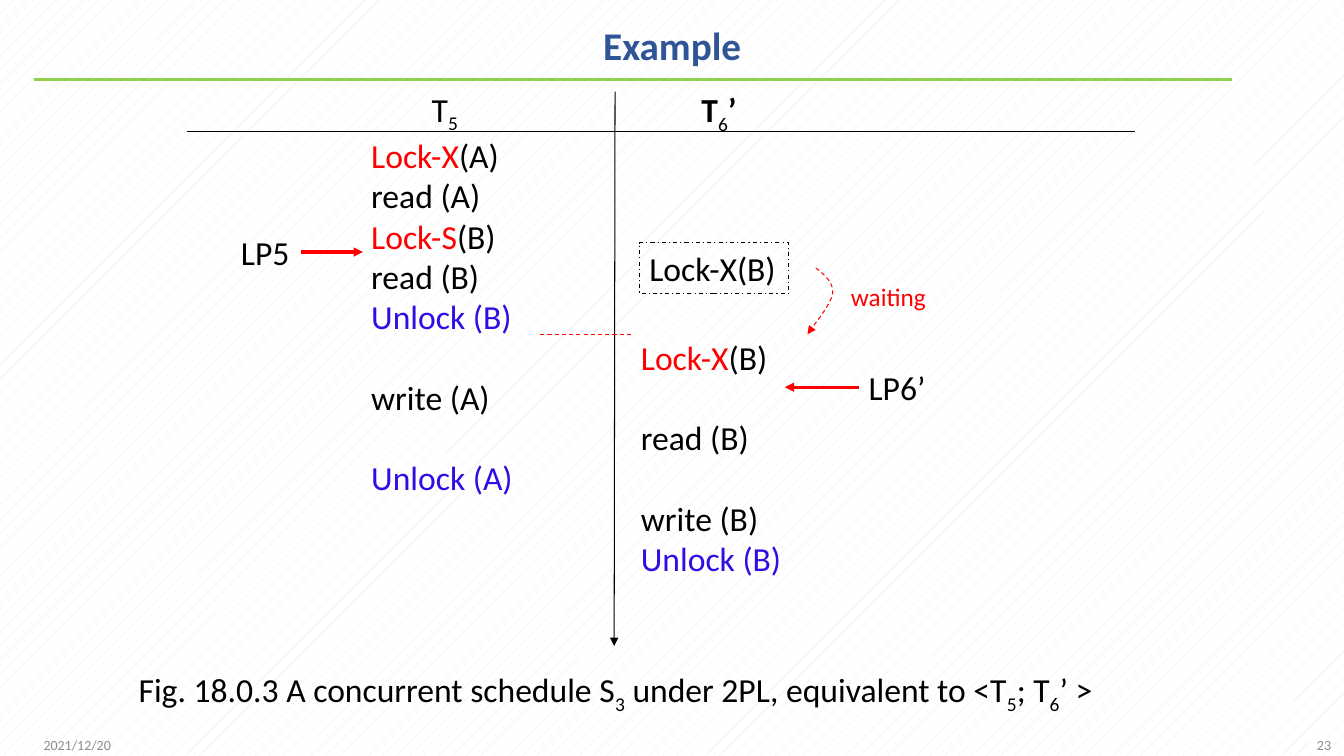
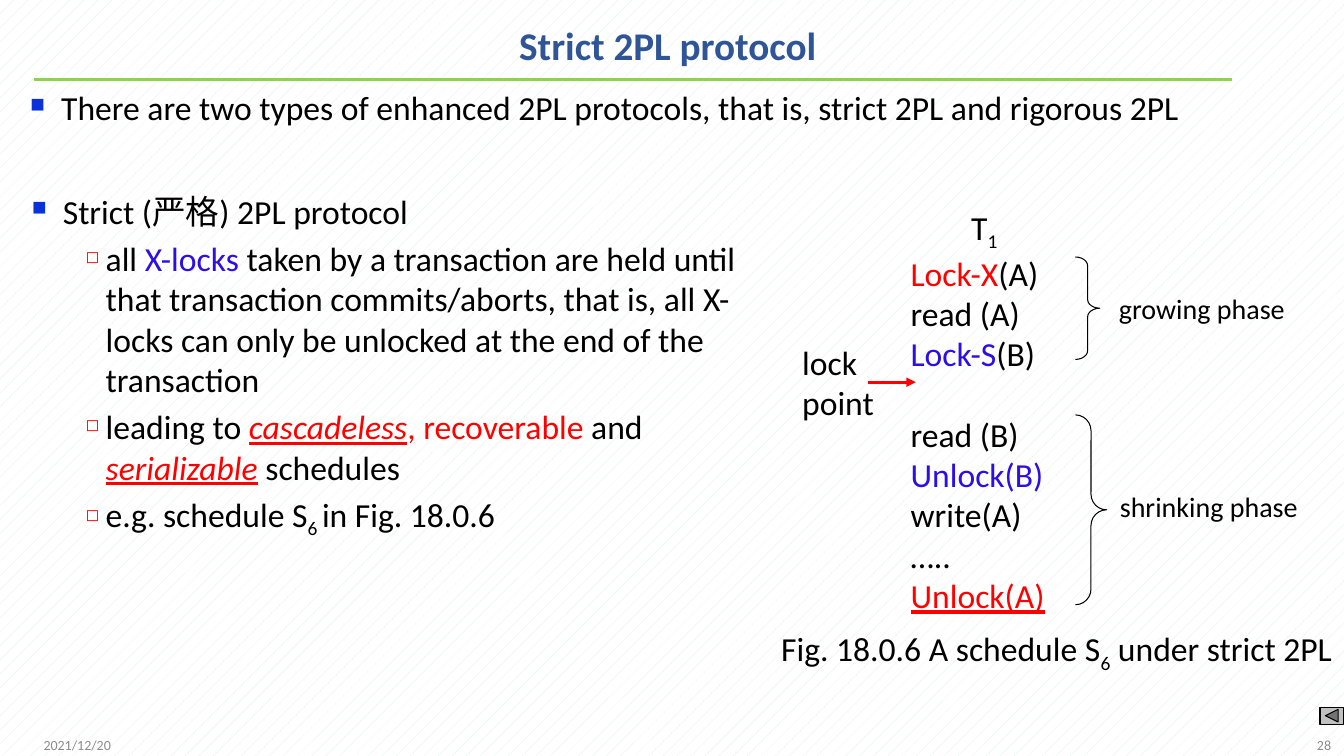
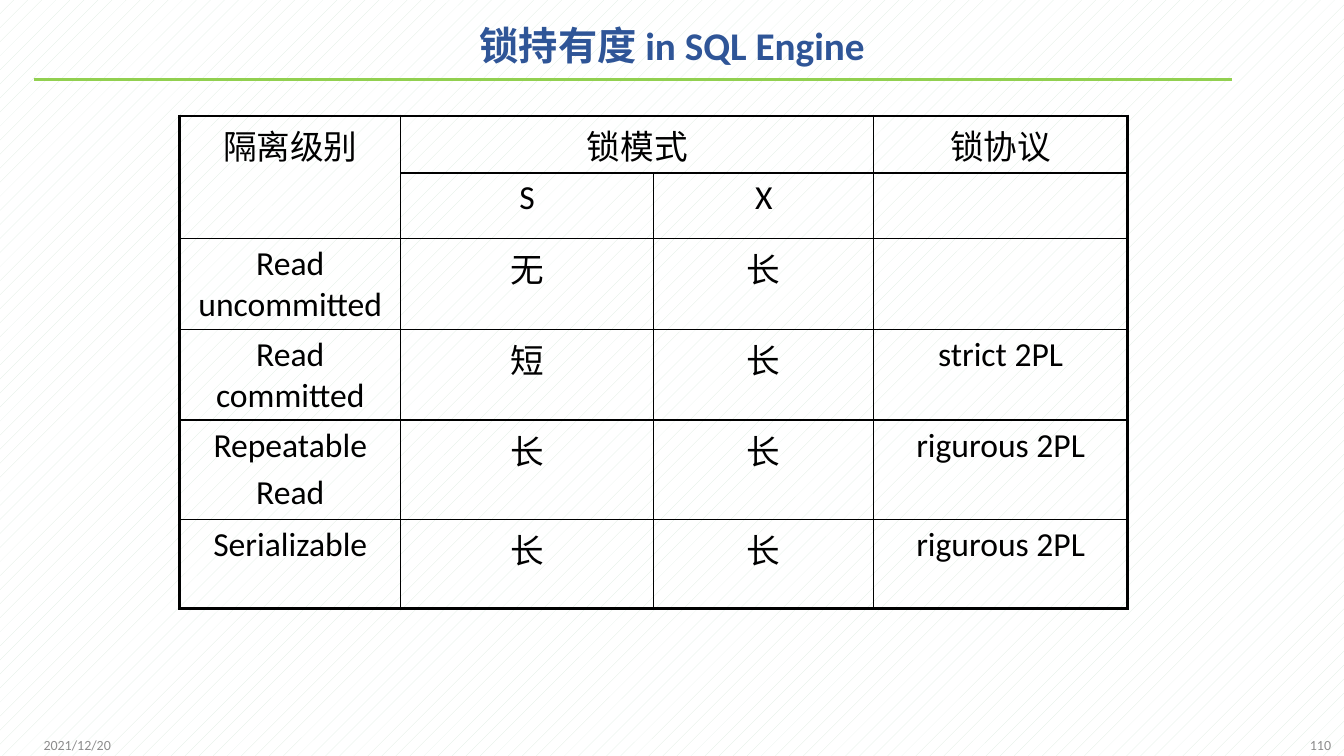
"""Build three lecture slides on two-phase locking."""
import pptx
import pptx.dml.color
import pptx.enum.dml
import pptx.enum.shapes
import pptx.enum.text
import pptx.oxml.ns
import pptx.util
from lxml import etree

Pt = pptx.util.Pt
RGB = pptx.dml.color.RGBColor.from_string
qn = pptx.oxml.ns.qn
ALIGN = pptx.enum.text.PP_ALIGN
ANCHOR = pptx.enum.text.MSO_ANCHOR
SHAPE = pptx.enum.shapes.MSO_SHAPE
STRAIGHT = pptx.enum.shapes.MSO_CONNECTOR.STRAIGHT
DASH = pptx.enum.dml.MSO_LINE


class Theme:
    latin, asian = "Calibri", "Noto Sans CJK SC"
    title, body, label, note, footer = 28, 24, 20, 18, 10
    leading = 28.8
    black, red, blue = "000000", "FF0000", "2D0EE4"
    heading, rule, grey, button = "2F5597", "92D050", "8C8C8C", "C0C0C0"
    bullet, pattern, paper = "0B32D9", "DCECE0", "FFFFFF"
    thin, medium, thick = 0.75, 1, 2.25
    runs = {
        "red": {"color": red},
        "blue": {"color": blue},
        "bold": {"bold": True},
        "sub": {"baseline": "-25000"},
        "key": {"color": red, "italic": True, "underline": True},
        "last": {"color": red, "underline": True},
    }


prs = pptx.Presentation()
prs.slide_width = pptx.util.Inches(13.33)
prs.slide_height = pptx.util.Inches(7.5)
U = prs.slide_height / 90


def put(host, paragraphs, box=None, size=Theme.body, color=Theme.black, bold=False,
        align=ALIGN.LEFT, anchor=ANCHOR.TOP, wrap=True, spacing=None):
    """Write (runs, format) paragraphs in a new text box, or in the host itself."""
    sp = host.shapes.add_textbox(*[round(v * U) for v in box]) if box else host
    tf = sp.text_frame
    tf.word_wrap = wrap
    tf.vertical_anchor = anchor
    if not wrap:
        tf.auto_size = pptx.enum.text.MSO_AUTO_SIZE.SHAPE_TO_FIT_TEXT
    for i, (runs, fmt) in enumerate(paragraphs):
        p = tf.add_paragraph() if i else tf.paragraphs[0]
        pPr = p._p.get_or_add_pPr()
        for tag, attrs in fmt.get("bullet", {}).items():
            el = etree.SubElement(pPr, qn("a:" + tag), attrs)
            if tag == "buClr":
                etree.SubElement(el, qn("a:srgbClr"), val=Theme.bullet if fmt["level"] == 0 else Theme.red)
        for name in ("marL", "indent"):
            if name in fmt:
                pPr.set(name, str(round(fmt[name] * U)))
        values = {"alignment": align, "line_spacing": spacing, "level": fmt.get("level", 0),
                  "space_before": Pt(fmt.get("before", 0) if i else 0)}
        for name, value in values.items():
            setattr(p, name, value)
        for run in runs:
            words, style = run if isinstance(run, tuple) else (run, None)
            look = {"name": Theme.latin, "size": Pt(size), "bold": bold, "color": color}
            look.update(Theme.runs.get(style, {}))
            r = p.add_run()
            r.text = words
            r.font.color.rgb = RGB(look.pop("color"))
            if "baseline" in look:
                r._r.get_or_add_rPr().set("baseline", look.pop("baseline"))
            for name, value in look.items():
                setattr(r.font, name, value)
            etree.SubElement(r._r.get_or_add_rPr(), qn("a:ea"), typeface=Theme.asian)
    return sp


def stroke(sp, color=Theme.black, width=Theme.thin, dash=None, arrow=False):
    """Give a shape or connector its outline, arrowhead and no shadow."""
    sp.line.color.rgb = RGB(color)
    sp.line.width = Pt(width)
    if dash:
        sp.line.dash_style = dash
    spPr = sp._element.spPr
    if arrow:
        etree.SubElement(spPr.find(qn("a:ln")), qn("a:tailEnd"), type="triangle")
    etree.SubElement(spPr, qn("a:effectLst"))


fill = prs.slide_master.background.fill
fill.patterned()
fill.pattern = pptx.enum.dml.MSO_PATTERN.PERCENT_5
fill.fore_color.rgb = RGB(Theme.pattern)
fill.back_color.rgb = RGB(Theme.paper)

slides = []
for title, number in [("Example", "23"), ("Strict 2PL protocol ", "28"), ("锁持有度 in SQL Engine", "110")]:
    s = prs.slides.add_slide(prs.slide_layouts[6])
    stroke(s.shapes.add_connector(STRAIGHT, *[round(v * U) for v in (4, 9.5, 146.6, 9.5)]),
           Theme.rule, Theme.thick)
    put(s, [([title], {})], (4.1, 1.1, 151.8, 9.2), Theme.title, Theme.heading, True,
        ALIGN.CENTER, ANCHOR.MIDDLE, spacing=0.9)
    for words, left, align in [("2021/12/20", 4, ALIGN.LEFT), (number, 123.6, ALIGN.RIGHT)]:
        put(s, [([words], {})], (left, 86.3, 36, 4.8), Theme.footer, Theme.grey,
            align=align, anchor=ANCHOR.MIDDLE)
    slides.append(s)

head = {"marL": 7.2}
blank = {"before": Theme.leading}

s = slides[0]
put(s, [(["Fig. 18.0.3 A concurrent schedule S", ("3", "sub"), " under 2PL, equivalent to <T",
          ("5", "sub"), "; T", ("6", "sub"), "’ >"], {})],
    (12.1, 79.1, 122.3, 6), align=ALIGN.CENTER)
put(s, [
    (["T", ("5", "sub")], head),
    ([("Lock-X", "red"), "(A)"], {}),
    (["read (A)"], {}),
    ([("Lock-S", "red"), "(B)"], {}),
    (["read (B)"], {}),
    ([("Unlock (B)", "blue")], {}),
    (["write (A)"], blank),
    ([("Unlock (A)", "blue")], blank),
], (43, 10, 25.8, 54.5))
put(s, [
    ([("T", "bold"), ("6", "sub"), ("’", "bold")], head),
    ([("Lock-X", "red"), "(B)"], {"before": 5 * Theme.leading}),
    (["read (B)"], blank),
    (["write (B)"], blank),
    ([("Unlock (B)", "blue")], {}),
], (75.1, 10, 25.8, 64.2))
lp5 = put(s, [(["LP5"], {})], (27.5, 27, 8.3, 6), wrap=False)
lp6 = put(s, [(["LP6’"], {})], (102.2, 43.1, 9.2, 6), wrap=False)
put(s, [(["waiting"], {})], (100.1, 32.9, 11.4, 4.8), Theme.note, Theme.red, wrap=False)

for ends, look, start in [
    ((22.2, 15.6, 135.1, 15.6), {}, None),
    ((73.2, 10.9, 73.1, 76.9), {"arrow": True}, None),
    ((75.1, 39.8, 64.1, 39.8), {"color": Theme.red, "dash": DASH.DASH}, None),
    ((35.8, 30, 43.2, 30), {"color": Theme.red, "width": Theme.thick, "arrow": True}, (lp5, 3)),
    ((102.2, 46.1, 93.4, 46.1), {"color": Theme.red, "width": Theme.thick, "arrow": True}, (lp6, 1)),
]:
    c = s.shapes.add_connector(STRAIGHT, *[round(v * U) for v in ends])
    if start:
        c.begin_connect(*start)
    stroke(c, **look)

request = s.shapes.add_shape(SHAPE.RECTANGLE, *[round(v * U) for v in (76.1, 28.9, 17.8, 6)])
request.fill.background()
stroke(request, dash=DASH.DASH_DOT)
put(request, [(["Lock-X(B)"], {})], wrap=False)

curves = [((97.1, 31.9), (98.2, 32.8), (99.2, 33.6), (99.1, 34.9)),
          ((99.1, 34.9), (99, 36.2), (96.6, 39), (96.1, 39.8))]
steps = 8
points = []
for curve in curves:
    for n in range(1, steps + 1):
        t = n / steps
        weights = ((1 - t) ** 3, 3 * t * (1 - t) ** 2, 3 * t * t * (1 - t), t ** 3)
        points.append([sum(w * pt[axis] for w, pt in zip(weights, curve)) * U for axis in (0, 1)])
builder = s.shapes.build_freeform(*[round(v * U) for v in curves[0][0]])
builder.add_line_segments(points, close=False)
wait = builder.convert_to_shape()
wait.fill.background()
stroke(wait, Theme.red, dash=DASH.DASH, arrow=True)

s = slides[1]
topic = {"level": 0, "marL": 3.7, "indent": -3.7, "before": 5.6,
         "bullet": {"buClr": {}, "buSzPct": {"val": "60000"}, "buChar": {"char": "■"}}}
point = {"level": 1, "marL": 8.8, "indent": -2.4, "before": 5,
         "bullet": {"buClr": {}, "buSzPct": {"val": "50000"}, "buChar": {"char": "◻"}}}
put(s, [(["There are two types of enhanced 2PL protocols, that is, strict 2PL and rigorous 2PL"], topic)],
    (2.4, 9.8, 155.3, 14))
put(s, [
    (["Strict (严格) 2PL protocol"], topic),
    (["all ", ("X-locks ", "blue"), "taken by a transaction are held until that transaction "
      "commits/aborts, that is, all X-locks can only be unlocked at the end of the transaction"], point),
    (["leading to ", ("cascadeless", "key"), (", recoverable ", "red"), "and ",
      ("serializable", "key"), " schedules"], point),
    (["e.g. schedule S", ("6 ", "sub"), "in Fig. 18.0.6"], point),
], (2.6, 22.1, 87.5, 62.2))
put(s, [
    (["T", ("1", "sub")], head),
    ([("Lock-X", "red"), "(A)"], {}),
    (["read (A)"], {}),
    ([("Lock-S", "blue"), "(B)"], {}),
    (["read (B)"], blank),
    ([("Unlock(B)", "blue")], {}),
    (["write(A)"], {}),
    (["….."], {}),
    ([("Unlock(A)", "last")], {}),
], (107.2, 24, 25.8, 54.5))
put(s, [(["lock"], {}), (["point"], {})], (94.3, 40.1, 11, 10.9), wrap=False)
put(s, [(["Fig. 18.0.6 A schedule S", ("6", "sub"), " under strict 2PL "], {})],
    (91.6, 74.2, 68.3, 6), align=ALIGN.CENTER, wrap=False)
stroke(s.shapes.add_connector(STRAIGHT, *[round(v * U) for v in (103.3, 45.5, 109, 45.5)]),
       Theme.red, Theme.thick, arrow=True)

for words, box, brace, bend in [
    ("growing phase", (132, 34.1, 22.3, 5.3), (128, 30.6, 2.9, 12.2), 0.36),
    ("shrinking phase", (132.1, 57.7, 23.8, 5.3), (128, 49.4, 3.7, 22.6), 0.51),
]:
    put(s, [([words], {})], box, Theme.label, wrap=False)
    sp = s.shapes.add_shape(SHAPE.RIGHT_BRACE, *[round(v * U) for v in brace])
    sp.adjustments[0] = bend
    sp.fill.background()
    stroke(sp)

back = s.shapes.add_shape(SHAPE.ACTION_BUTTON_BACK_OR_PREVIOUS,
                          *[round(v * U) for v in (157.1, 84.2, 2.8, 2)])
back.fill.solid()
back.fill.fore_color.rgb = RGB(Theme.button)
stroke(back)

s = slides[2]
cols = (26.3, 30.1, 26.2, 30.2)
rows = (6.8, 7.8, 10.8, 10.8, 11.8, 10.6)
levels = [
    ("隔离级别", "锁模式", "", "锁协议"),
    ("", "S", "X", ""),
    ("Read uncommitted", "无", "长", ""),
    ("Read committed", "短", "长", "strict 2PL"),
    ("Repeatable\nRead", "长", "长", "rigurous 2PL"),
    ("Serializable", "长", "长", "rigurous 2PL"),
]
frame = [round(v * U) for v in (21.4, 13.8, sum(cols), sum(rows))]
table = s.shapes.add_table(len(rows), len(cols), *frame).table
table.first_row = table.horz_banding = False
for col, width in zip(table.columns, cols):
    col.width = round(width * U)
for row, height in zip(table.rows, rows):
    row.height = round(height * U)
table.cell(0, 0).merge(table.cell(1, 0))
table.cell(0, 1).merge(table.cell(0, 2))
for i, level in enumerate(levels):
    for j, words in enumerate(level):
        cell = table.cell(i, j)
        cell.fill.background()
        if cell.is_spanned:
            continue
        if words:
            put(cell, [([part], {"before": 0.2 * Theme.body}) for part in words.split("\n")],
                align=ALIGN.CENTER)
        outer = {"lnL": j == 0, "lnR": j == len(cols) - 1, "lnT": i == 0, "lnB": i == len(rows) - 1}
        for n, (side, edge) in enumerate(outer.items()):
            ln = etree.Element(qn("a:" + side), w=str(Pt(Theme.thick if edge else Theme.medium)))
            solid = etree.SubElement(ln, qn("a:solidFill"))
            etree.SubElement(solid, qn("a:srgbClr"), val=Theme.black)
            cell._tc.get_or_add_tcPr().insert(n, ln)

prs.save("out.pptx")
